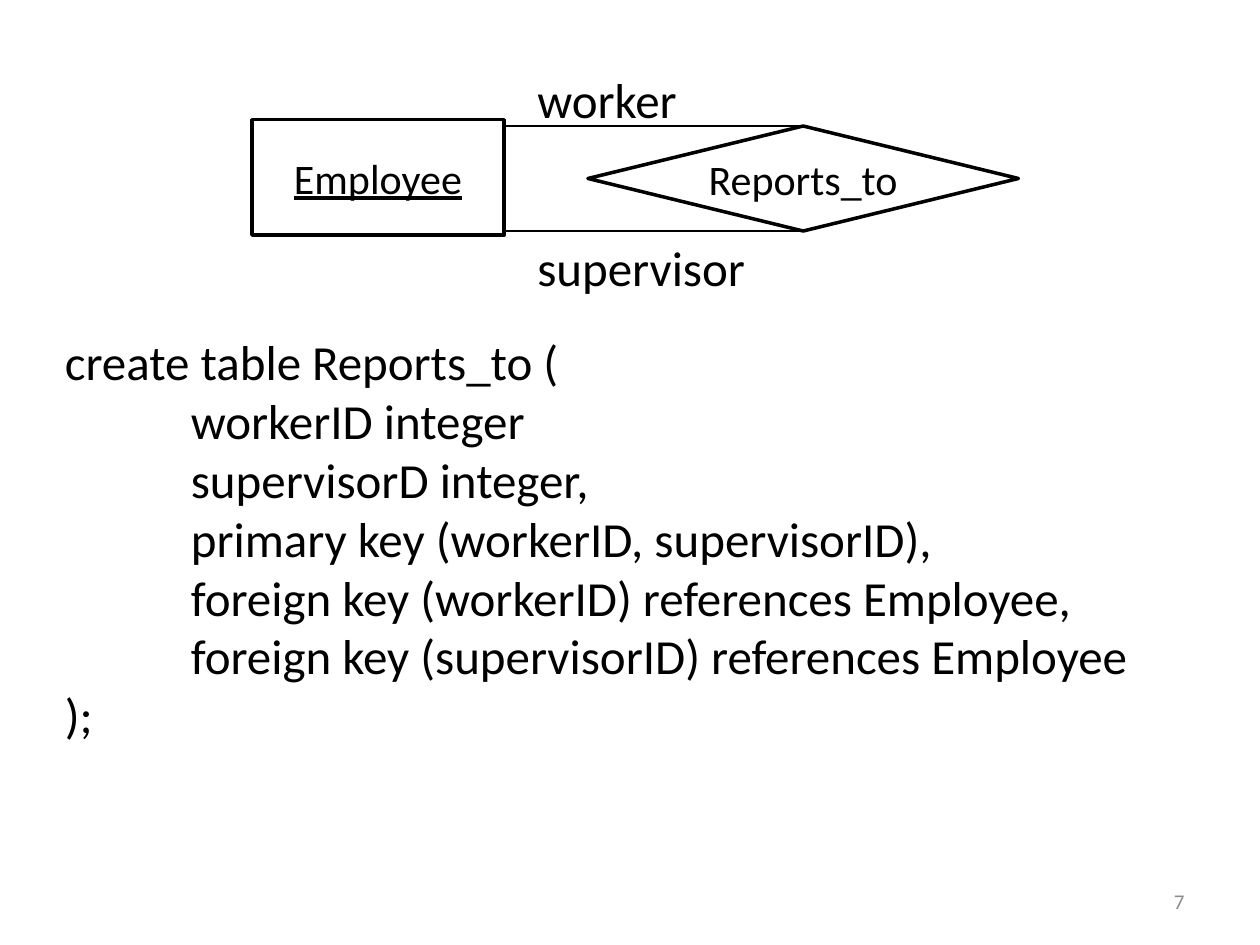
from lxml import etree
from pptx import Presentation
from pptx.dml.color import RGBColor
from pptx.enum import shapes, text
from pptx.oxml.ns import qn
from pptx.util import Pt

COLOURS = {"ink": "000000", "page": "8C8C8C"}
FONT = "Calibri"
TAB_WIDTH = Pt(72)
LEFT, CENTER, RIGHT = text.PP_ALIGN.LEFT, text.PP_ALIGN.CENTER, text.PP_ALIGN.RIGHT

SQL = [
    "create table Reports_to (",
    "\tworkerID integer",
    "\tsupervisorD integer,",
    "\tprimary key (workerID, supervisorID),",
    "\tforeign key (workerID) references Employee,",
    "\tforeign key (supervisorID) references Employee",
    ");\t",
]


def write(shape, lines, size, colour="ink", align=LEFT, underline=None, wrap=True,
          anchor=text.MSO_ANCHOR.TOP):
    frame = shape.text_frame
    frame.word_wrap = wrap
    frame.vertical_anchor = anchor
    frame.text = "\n".join(lines)
    for paragraph in frame.paragraphs:
        paragraph.alignment = align
        font = paragraph.font
        font.name, font.size, font.underline = FONT, Pt(size), underline
        font.color.rgb = RGBColor.from_string(COLOURS[colour])


def add_text(slide, box, lines, size, **style):
    label = slide.shapes.add_textbox(*map(Pt, box))
    write(label, lines, size, **style)
    return label


def add_node(slide, kind, box, name, **style):
    node = slide.shapes.add_shape(kind, *map(Pt, box))
    node.shadow.inherit = False
    node.fill.background()
    node.line.color.rgb = RGBColor.from_string(COLOURS["ink"])
    node.line.width = Pt(2)
    write(node, [name], 24, align=CENTER, anchor=text.MSO_ANCHOR.MIDDLE, **style)


def add_role_line(slide, start_x, end_x, y):
    role_line = slide.shapes.add_connector(
        shapes.MSO_CONNECTOR.STRAIGHT, Pt(start_x), Pt(y), Pt(end_x), Pt(y))
    role_line.line.color.rgb = RGBColor.from_string(COLOURS["ink"])
    role_line.line.width = Pt(0.75)
    etree.SubElement(role_line._element.spPr, qn("a:effectLst"))


def er_diagram(slide, left, top):
    # Entity and relationship
    entity_right = left + 144
    diamond_left, diamond_top = left + 192, top + 36
    diamond_width, diamond_height = 246, 60
    add_node(slide, shapes.MSO_SHAPE.RECTANGLE, (left, top + 32.4, 144, 66),
             "Employee", underline=True)
    add_node(slide, shapes.MSO_SHAPE.FLOWCHART_DECISION,
             (diamond_left, diamond_top, diamond_width, diamond_height),
             "Reports_to", wrap=False)

    # Roles: a line from the diamond's tip to the entity, and its label
    diamond_bottom = diamond_top + diamond_height
    for role, line_y, label_y in (("worker", diamond_top, top),
                                  ("supervisor", diamond_bottom, diamond_bottom)):
        add_role_line(slide, diamond_left + diamond_width / 2, entity_right, line_y)
        add_text(slide, (left + 156, label_y, 138, 41), [role], 28)


def sql_listing(slide, left, top, width, height):
    listing = add_text(slide, (left, top, width, height), SQL, 28)
    # Tab stops one inch apart
    for paragraph in listing.text_frame.paragraphs:
        paragraph._p.get_or_add_pPr().set("defTabSz", str(int(TAB_WIDTH)))


def page_number(slide, left, top, width, height):
    add_text(slide, (left, top, width, height), ["7"], 12, colour="page",
             align=RIGHT, anchor=text.MSO_ANCHOR.MIDDLE)


deck = Presentation()
deck.slide_width, deck.slide_height = Pt(720), Pt(540)
slide = deck.slides.add_slide(deck.slide_layouts[6])
page_number(slide, 516, 500.5, 168, 28.75)
er_diagram(slide, 144, 36)
sql_listing(slide, 30, 186, 624, 245)
deck.save("out.pptx")
